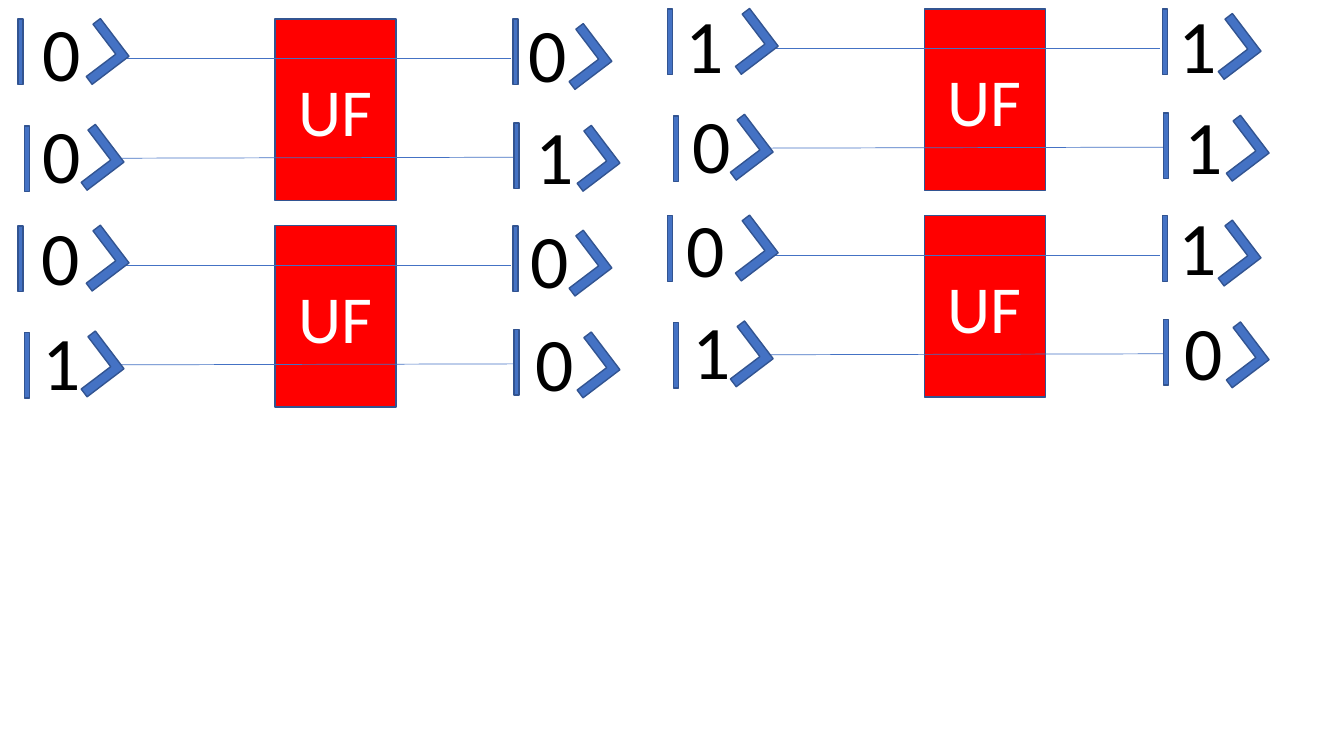
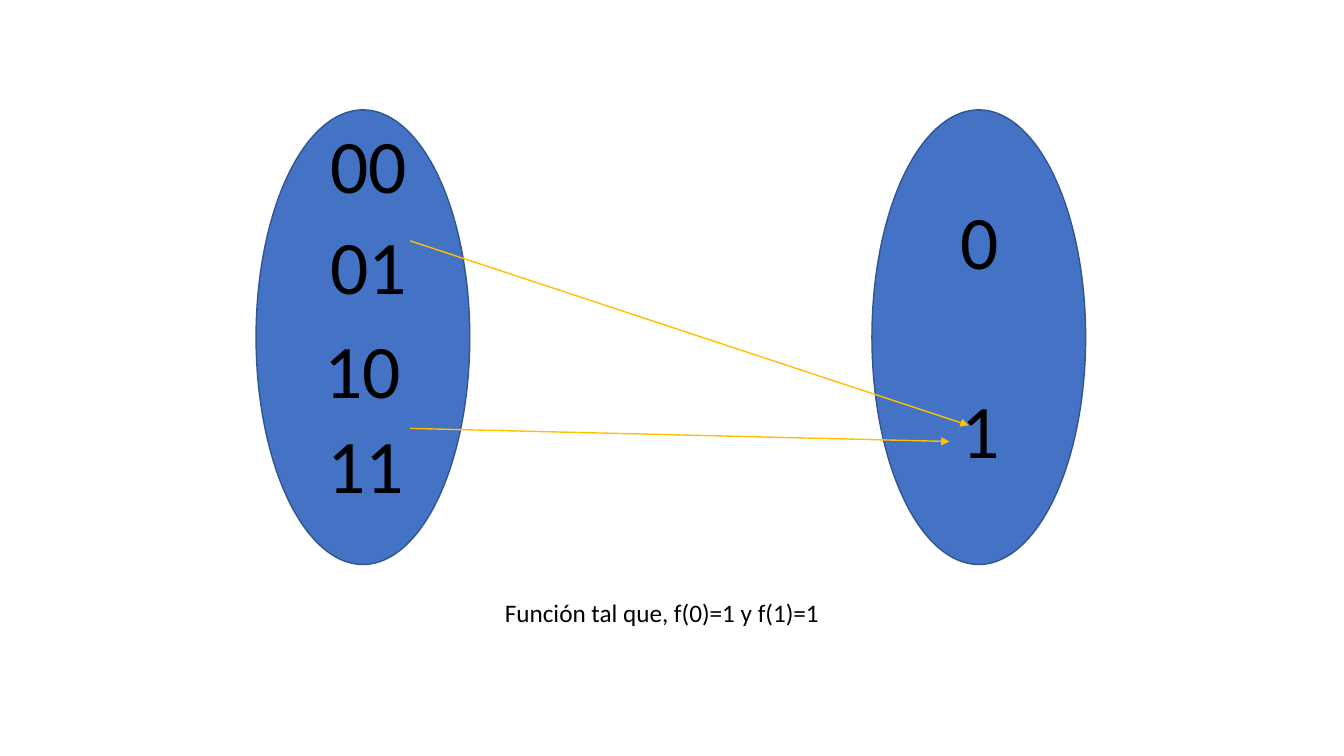
from dataclasses import dataclass

from lxml import etree
from pptx import Presentation
from pptx.dml.color import RGBColor
from pptx.enum.shapes import MSO_CONNECTOR, MSO_SHAPE
from pptx.enum.text import MSO_ANCHOR, MSO_AUTO_SIZE, PP_ALIGN
from pptx.oxml.ns import qn
from pptx.util import Inches, Pt

RECTANGLE, ELLIPSE, CORNER = MSO_SHAPE.RECTANGLE, MSO_SHAPE.OVAL, MSO_SHAPE.CORNER
STRAIGHT = MSO_CONNECTOR.STRAIGHT
LEFT, CENTER = PP_ALIGN.LEFT, PP_ALIGN.CENTER
MIDDLE, GROW = MSO_ANCHOR.MIDDLE, MSO_AUTO_SIZE.SHAPE_TO_FIT_TEXT

FONT = "Calibri"
COLORS = {"blue": "4472C4", "outline": "325491", "gate": "FF0000",
          "arrow": "FFC000", "text": "000000", "light": "FFFFFF"}
CELL = 0.1  # side of one grid cell, in inches
COLUMNS, ROWS = 133.33, 75
BLANK_LAYOUT = 6
DIGIT_HEIGHT = 10.1
DIGIT_WIDTHS = {1: 5.9, 2: 9.7}  # by number of digits


@dataclass
class Box:
    """An area of the slide, in grid cells."""
    left: float
    top: float
    width: float
    height: float

    def inner(self, left, top, width, height):
        return Box(self.left + left, self.top + top, width, height)

    def point(self, column, row):
        return self.left + column, self.top + row

    def lengths(self):
        return [cells(n) for n in (self.left, self.top, self.width, self.height)]


def cells(count):
    return Inches(count * CELL)


def color(name):
    return RGBColor.from_string(COLORS[name])


# Basic elements
def write(frame, text, size, ink, align=CENTER):
    para = frame.paragraphs[0]
    para.alignment = align
    span = para.add_run()
    span.text = text
    for name, value in {"name": FONT, "size": Pt(size)}.items():
        setattr(span.font, name, value)
    span.font.color.rgb = color(ink)


def add_shape(page, kind, box, fill="blue"):
    shape = page.shapes.add_shape(kind, *box.lengths())
    shape.shadow.inherit = False
    shape.fill.solid()
    shape.fill.fore_color.rgb = color(fill)
    shape.line.color.rgb = color("outline")
    shape.line.width = Pt(1)
    return shape


def add_text(page, text, box, size, align=CENTER, wrap=False):
    frame = page.shapes.add_textbox(*box.lengths()).text_frame
    frame.word_wrap = wrap
    frame.auto_size = GROW
    write(frame, text, size, "text", align)


def add_digits(page, box, text, column, row):
    area = box.inner(column, row, DIGIT_WIDTHS[len(text)], DIGIT_HEIGHT)
    add_text(page, text, area, 54)


def add_line(page, start, end, ink, width, arrow=False):
    line = page.shapes.add_connector(STRAIGHT, *[cells(n) for n in start + end])
    line.line.color.rgb = color(ink)
    line.line.width = Pt(width)
    properties = line.element.spPr
    if arrow:
        etree.SubElement(properties.find(qn("a:ln")), qn("a:tailEnd"), type="triangle")
    etree.SubElement(properties, qn("a:effectLst"))


# Circuit: gate, two wires and four kets
WIRES = [((9, 3.9), (48.9, 3.9)), ((9, 13.8), (49.3, 13.7))]
# Bar and chevron positions: upper input, lower input, upper output, lower output
KETS = [((0, 0), (5.4, 0.9)), ((0.6, 10.6), (4.9, 11.4)),
        ((49.1, 0), (53.3, 1.4)), ((49.2, 10.3), (54.1, 11.5))]
LOWER_DIGITS = [(1.4, 8.3), (50.3, 8.4)]


def draw_ket(page, box, bar, chevron, digit, digit_at):
    add_shape(page, RECTANGLE, box.inner(*bar, 0.5, 6.5))
    corner = add_shape(page, CORNER, box.inner(*chevron, 4.7, 4.6))
    corner.rotation = 232.8
    for index, share in enumerate((0.2, 0.21)):
        corner.adjustments[index] = share
    add_digits(page, box, digit, *digit_at)


def draw_circuit(page, box, digits, upper_digits):
    gate = add_shape(page, RECTANGLE, box.inner(25.5, 0, 12, 18), "gate")
    gate.text_frame.vertical_anchor = MIDDLE
    write(gate.text_frame, "UF", 48, "light")
    for start, end in WIRES:
        add_line(page, box.point(*start), box.point(*end), "blue", 0.5)
    places = [place for pair in zip(upper_digits, LOWER_DIGITS) for place in pair]
    for (bar, chevron), digit, place in zip(KETS, digits, places):
        draw_ket(page, box, bar, chevron, digit, place)


# Digits in ket order, then places of the upper input and output digits
CIRCUITS = [[("0001", [(1.4, -1.8), (49.6, -1.7)]),
             ("1011", [(0.8, -1.6), (49.7, -1.6)])],
            [("0100", [(1.3, -2.1), (49.8, -1.8)]),
             ("0110", [(0.9, -1.9), (49.7, -2.1)])]]


def circuits_slide(page, box):
    for row, circuits in enumerate(CIRCUITS):
        for column, (digits, upper_digits) in enumerate(circuits):
            area = box.inner(1.8 + 64.4 * column, 1.9 - column + 20.5 * row, 58.8, 18)
            draw_circuit(page, area, digits, upper_digits)


# Mapping: two sets, their elements, arrows and a caption
INPUTS = [("00", 6.3, 0.3), ("01", 6.3, 10.3), ("10", 5.7, 20.6), ("11", 6, 30.1)]
OUTPUTS = [("0", 7.7, 7.8), ("1", 7.8, 26.6)]
ARROWS = [((40.7, 23.9), (96.1, 42.2)), ((40.7, 42.5), (94.2, 43.8))]


def draw_set(page, box, elements):
    add_shape(page, ELLIPSE, box)
    for text, column, row in elements:
        add_digits(page, box, text, column, row)


def mapping_slide(page, box):
    for column, elements in ((25.4, INPUTS), (86.5, OUTPUTS)):
        draw_set(page, box.inner(column, 10.9, 21.2, 45.1), elements)
    for start, end in ARROWS:
        add_line(page, box.point(*start), box.point(*end), "arrow", 1, arrow=True)
    add_text(page, "Función tal que, f(0)=1 y f(1)=1",
             box.inner(49.1, 58.8, 35.1, 4), 18, LEFT, wrap=True)


deck = Presentation()
deck.slide_width, deck.slide_height = cells(COLUMNS), cells(ROWS)
for draw_slide in (circuits_slide, mapping_slide):
    page = deck.slides.add_slide(deck.slide_layouts[BLANK_LAYOUT])
    draw_slide(page, Box(0, 0, COLUMNS, ROWS))
deck.save("out.pptx")
